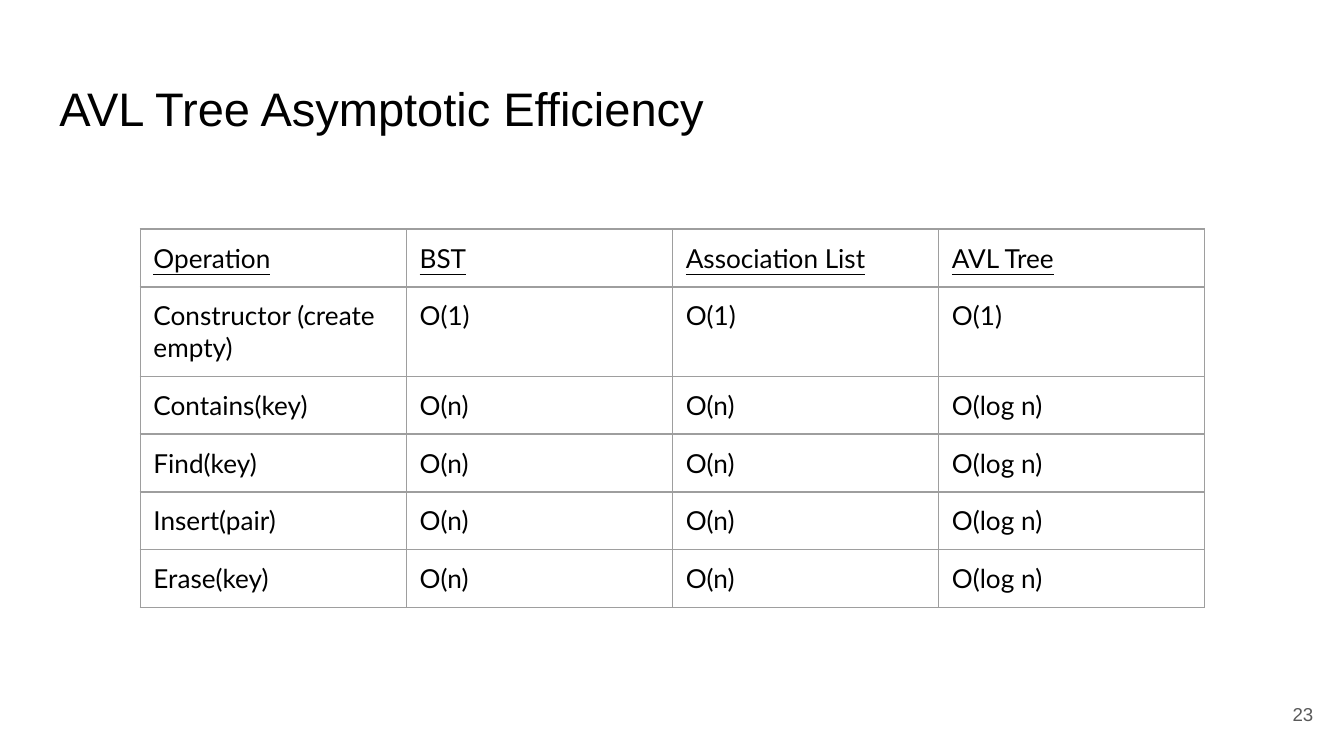
from lxml import etree
from pptx import Presentation
from pptx.dml.color import RGBColor
from pptx.enum import text
from pptx.oxml import ns
from pptx.util import Cm, Pt

INSET = Cm(0.25)
OPERATIONS = [
    ("Operation", "BST", "Association List", "AVL Tree"),
    ("Constructor (create empty)", "O(1)", "O(1)", "O(1)"),
    *[(name, "O(n)", "O(n)", "O(log n)")
      for name in ("Contains(key)", "Find(key)", "Insert(pair)", "Erase(key)")],
]


def rgb(value):
    return RGBColor.from_string(value)


def set_insets(target):
    target.margin_left = target.margin_right = INSET
    target.margin_top = target.margin_bottom = INSET


def add_run(frame, words, size, font, color="000000", underline=False,
            align=text.PP_ALIGN.LEFT):
    paragraph = frame.paragraphs[0]
    paragraph.alignment = align
    run = paragraph.add_run()
    run.text = words
    run.font.size = Pt(size)
    run.font.name = font
    run.font.underline = underline
    run.font.color.rgb = rgb(color)


def prepare_frame(shape):
    frame = shape.text_frame
    frame.word_wrap = True
    frame.auto_size = text.MSO_AUTO_SIZE.NONE
    frame.vertical_anchor = text.MSO_ANCHOR.MIDDLE
    set_insets(frame)
    return frame


def write_title(slide, words):
    heading = slide.shapes.title
    heading.left, heading.top = Cm(0.87), Cm(1.24)
    heading.width, heading.height = Cm(23.67), Cm(1.6)
    add_run(prepare_frame(heading), words, 25.2, "Arial")


def add_page_number(slide, number):
    corner = slide.shapes.add_textbox(Cm(23.55), Cm(12.95), Cm(1.52), Cm(1.09))
    add_run(prepare_frame(corner), number, 10, "Arial", "595959",
            align=text.PP_ALIGN.RIGHT)


def set_borders(cell, color):
    properties = cell._tc.get_or_add_tcPr()
    for position, side in enumerate(("lnL", "lnR", "lnT", "lnB")):
        border = etree.Element(ns.qn(f"a:{side}"), w=str(Pt(0.75)))
        fill = etree.SubElement(border, ns.qn("a:solidFill"))
        etree.SubElement(fill, ns.qn("a:srgbClr"), val=color)
        properties.insert(position, border)


def add_efficiency_table(slide, rows):
    column_count = len(rows[0])
    column_width, row_height = Cm(5.03), Cm(1.07)
    table = slide.shapes.add_table(
        len(rows), column_count, Cm(2.65), Cm(4.33),
        column_width * column_count, row_height * len(rows)).table
    table.first_row = table.horz_banding = False
    for column in table.columns:
        column.width = column_width
    for row_index, row in enumerate(rows):
        for column_index, words in enumerate(row):
            cell = table.cell(row_index, column_index)
            cell.fill.background()
            set_insets(cell)
            set_borders(cell, "9E9E9E")
            add_run(cell.text_frame, words, 14, "Lato", underline=row_index == 0)


def main():
    deck = Presentation()
    deck.slide_width, deck.slide_height = Cm(25.4), Cm(14.29)
    slide = deck.slides.add_slide(deck.slide_layouts.get_by_name("Title Only"))
    write_title(slide, "AVL Tree Asymptotic Efficiency")
    add_page_number(slide, "23")
    add_efficiency_table(slide, OPERATIONS)
    deck.save("out.pptx")


if __name__ == "__main__":
    main()
